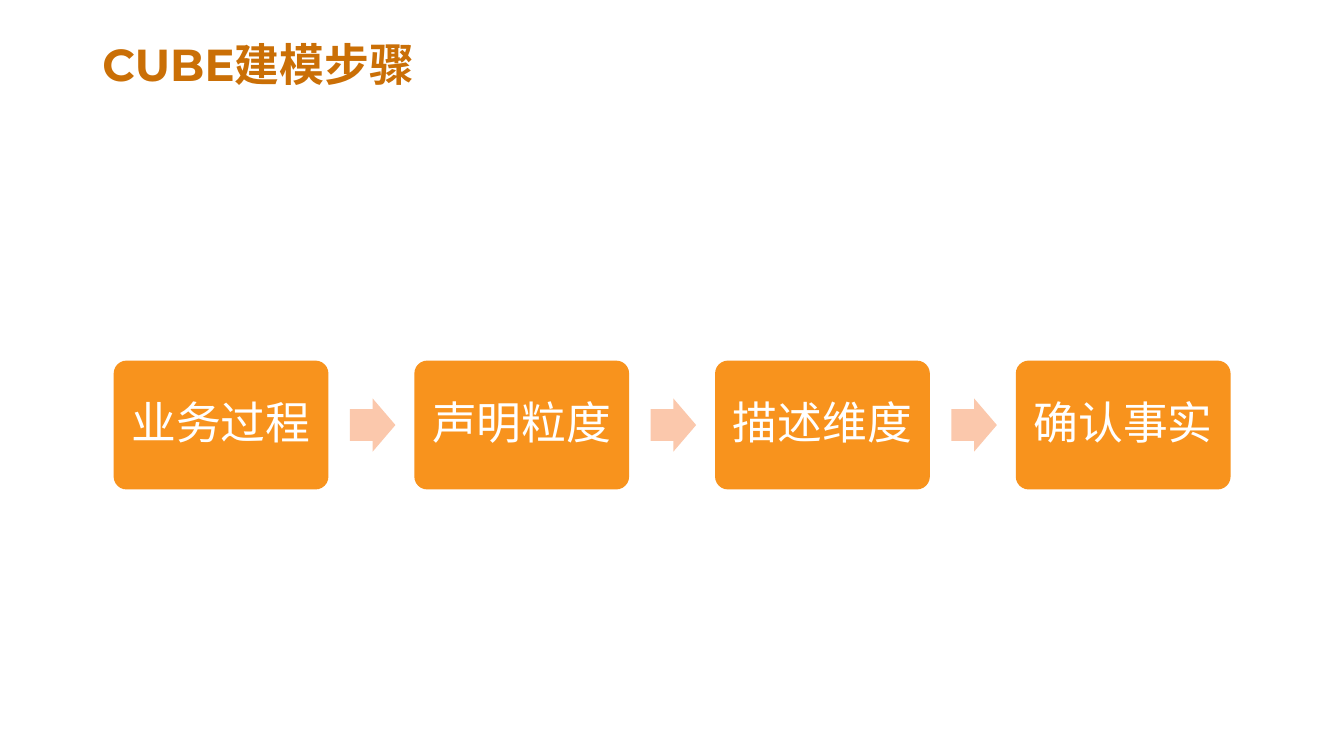
from pptx import Presentation
from pptx.dml.color import RGBColor
from pptx.enum.shapes import MSO_SHAPE
from pptx.enum.text import MSO_ANCHOR, PP_ALIGN
from pptx.util import Pt

COLORS = {"title": "CA6F06", "step": "F8931D", "arrow": "FBC8AC", "text": "FFFFFF"}
STEPS = ["业务过程", "声明粒度", "描述维度", "确认事实"]


class Deck:
    def __init__(self, prs):
        self.shapes = prs.slides.add_slide(prs.slide_layouts[6]).shapes

    def add_text(self, sp, text, color, align, margins, font):
        tf = sp.text_frame
        frame = {"word_wrap": True, "vertical_anchor": MSO_ANCHOR.MIDDLE, **margins}
        for name, value in frame.items():
            setattr(tf, name, value)
        p = tf.paragraphs[0]
        for name, value in {"alignment": align, "line_spacing": 0.9}.items():
            setattr(p, name, value)
        r = p.add_run()
        r.text = text
        for name, value in {"size": Pt(32), **font}.items():
            setattr(r.font, name, value)
        r.font.color.rgb = RGBColor.from_string(COLORS[color])

    def shape(self, kind, box, color, adjustments):
        sp = self.shapes.add_shape(kind, *map(Pt, box))
        sp.shadow.inherit = False
        sp.fill.solid()
        sp.fill.fore_color.rgb = RGBColor.from_string(COLORS[color])
        sp.line.fill.background()
        for i, value in enumerate(adjustments):
            sp.adjustments[i] = value
        return sp

    def title(self, text, box):
        sp = self.shapes.add_textbox(*map(Pt, box))
        margins = {"margin_top": Pt(0), "margin_bottom": Pt(0)}
        self.add_text(sp, text, "title", PP_ALIGN.LEFT, margins,
                      {"name": "Montserrat", "bold": True})

    def step(self, text, box):
        sp = self.shape(MSO_SHAPE.ROUNDED_RECTANGLE, box, "step", [0.1])
        sides = ("left", "top", "right", "bottom")
        margins = {f"margin_{side}": Pt(9.5) for side in sides}
        self.add_text(sp, text, "text", PP_ALIGN.CENTER, margins, {"name": "Arial"})

    def arrow(self, box):
        self.shape(MSO_SHAPE.RIGHT_ARROW, box, "arrow", [0.6, 0.5])


def main():
    prs = Presentation()
    prs.slide_width, prs.slide_height = Pt(960), Pt(540)
    deck = Deck(prs)
    deck.title("CUBE建模步骤", (66, 28.8, 828, 38.2))
    left, top, width, height, pitch = 81.2, 257.6, 153.4, 92, 214.8
    arrow_width, arrow_height = 32.5, 38
    for i, text in enumerate(STEPS):
        x = left + i * pitch
        if i:
            deck.arrow((x - pitch + width * 1.1, top + (height - arrow_height) / 2,
                        arrow_width, arrow_height))
        deck.step(text, (x, top, width, height))
    prs.save("out.pptx")


if __name__ == "__main__":
    main()
